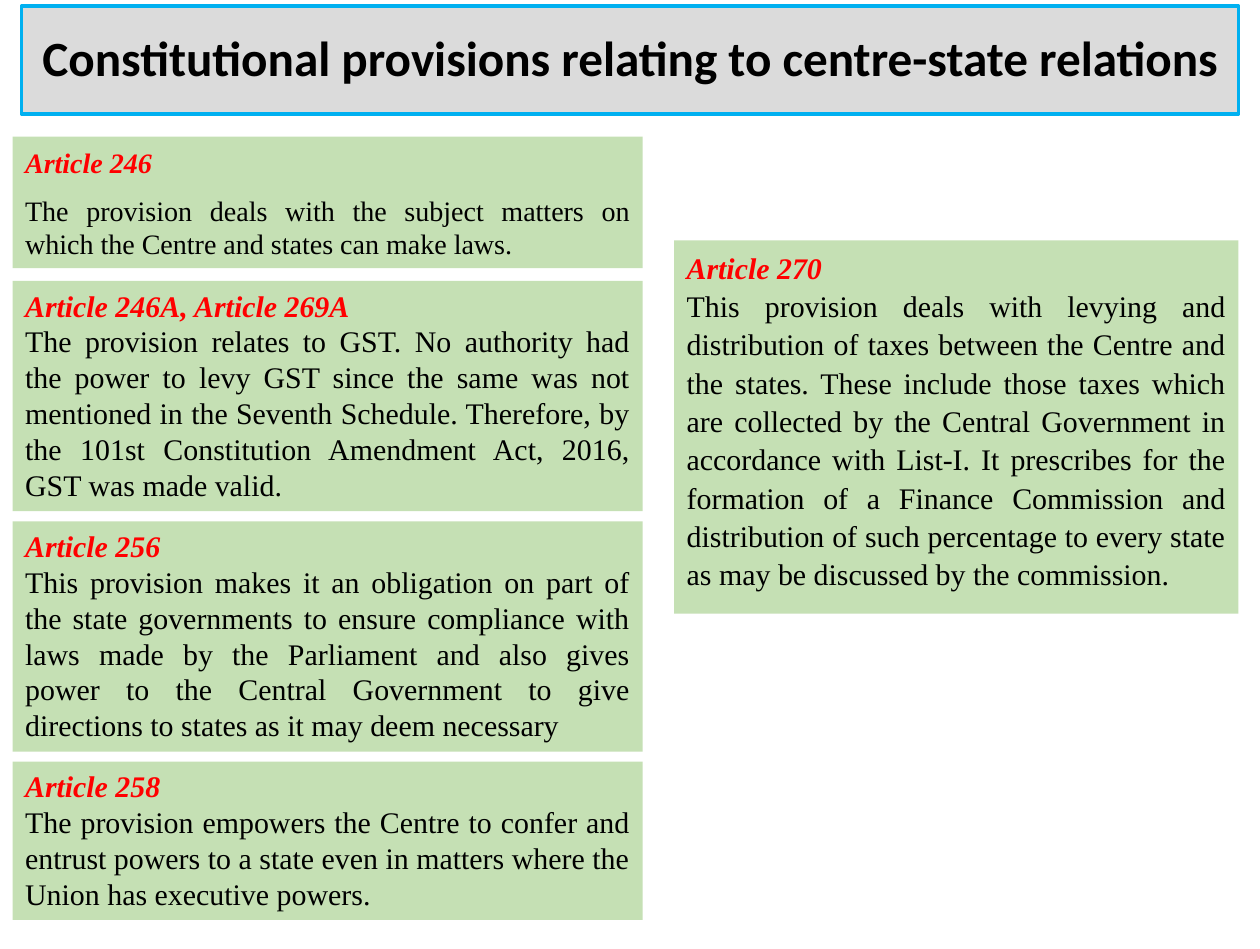
from pptx import Presentation
from pptx import util as u
from pptx.dml.color import RGBColor
from pptx.enum import shapes, text

TITLE = "Constitutional provisions relating to centre-state relations"
# article, provision, height in inches
LEFT_ARTICLES = [
    ("Article 246",
     "The provision deals with the subject matters on which the Centre and states "
     "can make laws.", 1.04),
    ("Article 246A, Article 269A",
     "The provision relates to GST. No authority had the power to levy GST since the "
     "same was not mentioned in the Seventh Schedule. Therefore, by the 101st "
     "Constitution Amendment Act, 2016, GST was made valid.", 1.82),
    ("Article 256",
     "This provision makes it an obligation on part of the state governments to ensure "
     "compliance with laws made by the Parliament and also gives power to the Central "
     "Government to give directions to states as it may deem necessary", 1.82),
    ("Article 258",
     "The provision empowers the Centre to confer and entrust powers to a state even in "
     "matters where the Union has executive powers.", 1.25),
]
RIGHT_ARTICLE = (
    "Article 270",
    "This provision deals with levying and distribution of taxes between the Centre and "
    "the states. These include those taxes which are collected by the Central Government "
    "in accordance with List-I. It prescribes for the formation of a Finance Commission "
    "and distribution of such percentage to every state as may be discussed by the "
    "commission.", 2.95)

# Paragraph formats of (article, provision) where they differ from plain
SPACED_HEADING = ({"line_spacing": 1.07, "space_after": u.Pt(8)}, {})
LOOSE = ({"line_spacing": 1.07}, {"line_spacing": 1.07, "space_after": u.Pt(8)})
PLAIN = ({}, {})

BLACK = RGBColor(0x00, 0x00, 0x00)
RED = RGBColor(0xFF, 0x00, 0x00)
GREEN = RGBColor(0xC5, 0xE0, 0xB4)
GREY = RGBColor(0xDB, 0xDB, 0xDB)
BLUE = RGBColor(0x00, 0xB0, 0xF0)

LEFT_X, LEFT_WIDTH = 0.1, 4.98
RIGHT_X, RIGHT_WIDTH, RIGHT_Y = 5.33, 4.46, 1.9
COLUMN_TOP, FIRST_GAP, GAP = 1.08, 0.1, 0.08


def set_all(target, values):
    for name, value in values.items():
        setattr(target, name, value)


def add_article(slide, x, y, width, content, size=17, formats=PLAIN):
    article, provision, height = content
    box = slide.shapes.add_shape(shapes.MSO_SHAPE.RECTANGLE,
                                 *map(u.Inches, (x, y, width, height)))
    box.shadow.inherit = False
    box.fill.solid()
    box.fill.fore_color.rgb = GREEN
    box.line.fill.background()
    frame = box.text_frame
    set_all(frame, {"word_wrap": True, "vertical_anchor": text.MSO_ANCHOR.TOP,
                    "auto_size": text.MSO_AUTO_SIZE.SHAPE_TO_FIT_TEXT})
    heading, body = frame.paragraphs[0], frame.add_paragraph()
    for paragraph, words, color, strong, extra in (
            (heading, article, RED, True, formats[0]),
            (body, provision, BLACK, False, formats[1])):
        set_all(paragraph, {"alignment": text.PP_ALIGN.JUSTIFY, **extra})
        run = paragraph.add_run()
        run.text = words
        set_all(run.font, {"name": "Times New Roman", "size": u.Pt(size),
                           "bold": strong, "italic": strong})
        run.font.color.rgb = color


def add_title(slide):
    title = slide.shapes.title
    set_all(title, {"left": u.Inches(0.17), "top": u.Inches(0.05),
                    "width": u.Inches(9.62), "height": u.Inches(0.85)})
    title.fill.solid()
    title.fill.fore_color.rgb = GREY
    title.line.color.rgb = BLUE
    title.line.width = u.Pt(2.25)
    title.text_frame.text = TITLE
    set_all(title.text_frame, {"word_wrap": True,
                               "auto_size": text.MSO_AUTO_SIZE.NONE,
                               "vertical_anchor": text.MSO_ANCHOR.MIDDLE})
    paragraph = title.text_frame.paragraphs[0]
    set_all(paragraph, {"alignment": text.PP_ALIGN.CENTER, "line_spacing": 0.9})
    font = paragraph.runs[0].font
    set_all(font, {"name": "Calibri", "size": u.Pt(28), "bold": True})
    font.color.rgb = BLACK


def main():
    deck = Presentation()
    deck.slide_width, deck.slide_height = u.Inches(9.96), u.Inches(7.5)
    slide = deck.slides.add_slide(deck.slide_layouts[5])
    add_title(slide)

    y = COLUMN_TOP
    for row, content in enumerate(LEFT_ARTICLES):
        if row == 0:
            add_article(slide, LEFT_X, y, LEFT_WIDTH, content, 16, SPACED_HEADING)
        else:
            add_article(slide, LEFT_X, y, LEFT_WIDTH, content)
        y += content[2] + (GAP if row else FIRST_GAP)
    add_article(slide, RIGHT_X, RIGHT_Y, RIGHT_WIDTH, RIGHT_ARTICLE, formats=LOOSE)
    deck.save("out.pptx")


if __name__ == "__main__":
    main()
